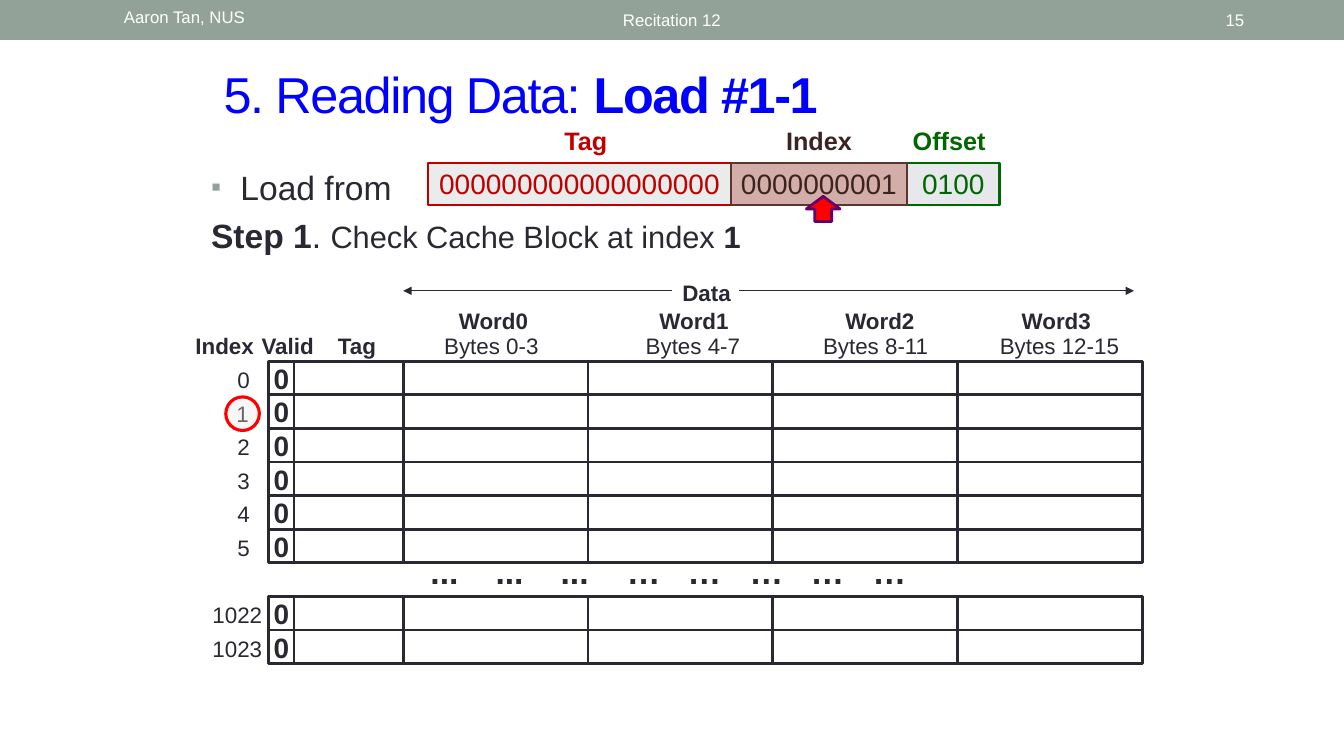
import dataclasses

import lxml.etree
import pptx
import pptx.dml.color
import pptx.enum.shapes
import pptx.enum.text
import pptx.oxml
import pptx.oxml.ns
import pptx.util

SHAPE = pptx.enum.shapes.MSO_SHAPE
ALIGN = pptx.enum.text.PP_ALIGN
ANCHOR = pptx.enum.text.MSO_ANCHOR
EMU_PER_PX = 9525


@dataclasses.dataclass(frozen=True)
class Theme:
    font: str = "Arial"
    ink: str = "292934"
    white: str = "FFFFFF"
    band: str = "93A299"
    title: str = "0000FF"
    tag: str = "C00000"
    tag_fill: str = "E9ECEB"
    index: str = "3C231F"
    index_line: str = "5B352E"
    index_fill: str = "D3AEA8"
    offset: str = "006600"
    offset_fill: str = "E6E8EC"
    red: str = "FF0000"
    pointer_line: str = "660066"
    ring_fill: str = "EFE9E1"
    header_size: int = 12
    label_size: int = 16
    field_label_size: int = 18
    value_size: int = 20
    step_size: int = 22
    body_size: int = 24
    title_size: int = 36


THEME = Theme()

# Cache grid, in px
COLUMNS = [24, 104] + [176] * 4
GRID_LEFT, GRID_TOP, ROW = 256, 344, 32
LAST_ROWS_SLOT = 7


def px(length):
    return pptx.util.Emu(round(length * EMU_PER_PX))


def rgb(code):
    return pptx.dml.color.RGBColor.from_string(code)


def add_xml(parent, tag, **attributes):
    child = lxml.etree.SubElement(parent, pptx.oxml.ns.qn(tag))
    for name, value in attributes.items():
        child.set(name, str(value))
    return child


def style(span, size, color, bold=False):
    span.font.name = THEME.font
    span.font.size = pptx.util.Pt(size)
    span.font.color.rgb = rgb(color)
    span.font.bold = bold


def add_spans(para, spans):
    """Add (text, size, color, bold) runs to a paragraph."""
    for text, *look in spans:
        span = para.add_run()
        span.text = text
        style(span, *look)


def add_text(page, area, spans, align=ALIGN.LEFT, anchor=ANCHOR.TOP, inset=10):
    box = page.shapes.add_textbox(*map(px, area))
    frame = box.text_frame
    frame.word_wrap = True
    frame.margin_left = frame.margin_right = px(inset)
    frame.vertical_anchor = anchor
    frame.paragraphs[0].alignment = align
    add_spans(frame.paragraphs[0], spans)
    return frame


def add_label(page, center, top, text, size=THEME.label_size, color=THEME.ink, bold=False):
    width = 140
    area = (center - width // 2, top, width, 36)
    add_text(page, area, [(text, size, color, bold)], ALIGN.CENTER, inset=0)


def add_figure(page, kind, area, fill=None, line=None, weight=1.5):
    figure = page.shapes.add_shape(kind, *map(px, area))
    figure.shadow.inherit = False
    if fill:
        figure.fill.solid()
        figure.fill.fore_color.rgb = rgb(fill)
    else:
        figure.fill.background()
    if line:
        figure.line.color.rgb = rgb(line)
        figure.line.width = pptx.util.Pt(weight)
    else:
        figure.line.fill.background()
    return figure


def fill_in(figure, text, color, bold=False):
    """Centre a value inside a figure."""
    frame = figure.text_frame
    frame.margin_left = frame.margin_right = 0
    frame.word_wrap = False
    frame.vertical_anchor = ANCHOR.MIDDLE
    frame.paragraphs[0].alignment = ALIGN.CENTER
    add_spans(frame.paragraphs[0], [(text, THEME.value_size, color, bold)])


def add_field(page, left, width, bits, fill, line, color):
    field = add_figure(page, SHAPE.RECTANGLE, (left, 155, width, 40), fill, line)
    fill_in(field, bits, color)


def add_arrow(page, start, end, y):
    arrow = page.shapes.add_connector(
        pptx.enum.shapes.MSO_CONNECTOR.STRAIGHT, px(start), px(y), px(end), px(y))
    arrow.line.color.rgb = rgb(THEME.ink)
    arrow.line.width = pptx.util.Pt(0.75)
    add_xml(arrow.line._get_or_add_ln(), "a:tailEnd", type="triangle")
    add_xml(arrow._element.spPr, "a:effectLst")


def add_cache_block(page, slot, index):
    top = GRID_TOP + slot * ROW
    for position, width in enumerate(COLUMNS):
        left = GRID_LEFT + sum(COLUMNS[:position])
        cell = add_figure(page, SHAPE.RECTANGLE, (left, top, width, ROW), None, THEME.ink, 2)
        if position == 0:
            fill_in(cell, "0", THEME.ink, True)
    center = {1: 231, 1022: 226, 1023: 226}.get(index, 232)
    add_label(page, center, top, str(index))


def add_header(page):
    add_figure(page, SHAPE.RECTANGLE, (0, 0, 1280, 38), THEME.band)
    for left, width, text, align, anchor in (
            (108, 304, "Aaron Tan, NUS", ALIGN.LEFT, ANCHOR.TOP),
            (290, 700, "Recitation 12", ALIGN.CENTER, ANCHOR.MIDDLE),
            (1104, 91, "15", ALIGN.RIGHT, ANCHOR.MIDDLE)):
        add_text(page, (left, 2, width, 34), [(text, THEME.header_size, THEME.white)], align, anchor)


def add_title_and_steps(page):
    title = add_text(page, (203, 55, 885, 67), [
        ("5. Reading Data: ", THEME.title_size, THEME.title),
        ("Load #1-1", THEME.title_size, THEME.title, True)], anchor=ANCHOR.MIDDLE)
    for span in title.paragraphs[0].runs:
        span._r.get_or_add_rPr().set("spc", "-100")

    body = add_text(page, (191, 154, 864, 100), [("Load from", THEME.body_size, THEME.ink)])
    bullet = body.paragraphs[0]._p.get_or_add_pPr()
    bullet.set("marL", str(px(28)))
    bullet.set("indent", str(px(-28)))
    add_xml(add_xml(bullet, "a:buClr"), "a:srgbClr", val=THEME.band)
    add_xml(bullet, "a:buSzPct", val=85000)
    add_xml(bullet, "a:buFont", typeface=THEME.font)
    add_xml(bullet, "a:buChar", char="▪")
    step = body.add_paragraph()
    step.space_before = pptx.util.Pt(6)
    add_spans(step, [
        ("Step 1", THEME.body_size, THEME.ink, True),
        (". ", THEME.body_size, THEME.ink),
        ("Check Cache Block at index ", THEME.step_size, THEME.ink),
        ("1", THEME.step_size, THEME.ink, True)])


def add_address(page):
    add_field(page, 408, 288, "0" * 18, THEME.tag_fill, THEME.tag, THEME.tag)
    add_field(page, 864, 88, "0100", THEME.offset_fill, THEME.offset, THEME.offset)
    add_field(page, 696, 168, "0000000001", THEME.index_fill, THEME.index_line, THEME.index)
    for center, text, color in (
            (558, "Tag", THEME.tag), (780, "Index", THEME.index), (904, "Offset", THEME.offset)):
        add_label(page, center, 115, text, THEME.field_label_size, color, True)
    add_figure(page, SHAPE.UP_ARROW, (768, 187, 32, 24), THEME.red, THEME.pointer_line, 2)


def add_cache(page):
    # First and last cache blocks
    for index in range(6):
        add_cache_block(page, index, index)
    for number, index in enumerate((1022, 1023)):
        add_cache_block(page, LAST_ROWS_SLOT + number, index)

    # Omitted blocks
    frame = add_text(page, (400, 520, 528, 78), [])
    para = frame.paragraphs[0]
    stops = add_xml(para._p.get_or_add_pPr(), "a:tabLst")
    for stop in (62, 124, 187, 245, 304, 362, 421):
        add_xml(stops, "a:tab", pos=px(stop), algn="l")
    para.text = "\t".join(["..."] * 3 + ["…"] * 5)
    for span in para.runs:
        style(span, THEME.body_size, THEME.ink, True)

    # Column headings
    add_arrow(page, 640, 384, 277)
    add_arrow(page, 704, 1080, 277)
    for center, top, text in (
            (673, 261, "Data"), (214, 312, "Index"), (274, 312, "Valid"), (340, 312, "Tag")):
        add_label(page, center, top, text, bold=True)
    word_columns = ((470, 468, "0-3"), (661, 660, "4-7"), (838, 834, "8-11"), (1006, 1009, "12-15"))
    for number, (word_center, bytes_center, span) in enumerate(word_columns):
        add_label(page, word_center, 288, f"Word{number}", bold=True)
        add_label(page, bytes_center, 312, f"Bytes {span}")

    # Ring around the selected index
    ring = add_figure(page, SHAPE.OVAL, (215, 378, 32, 32), THEME.ring_fill, THEME.red, 2.25)
    tint = ring._element.spPr.find(".//" + pptx.oxml.ns.qn("a:srgbClr"))
    add_xml(tint, "a:alpha", val=32000)


def main():
    deck = pptx.Presentation()
    deck.slide_width, deck.slide_height = px(1280), px(720)
    page = deck.slides.add_slide(deck.slide_layouts[6])
    add_header(page)
    add_title_and_steps(page)
    add_address(page)
    add_cache(page)
    deck.save("out.pptx")


if __name__ == "__main__":
    main()
